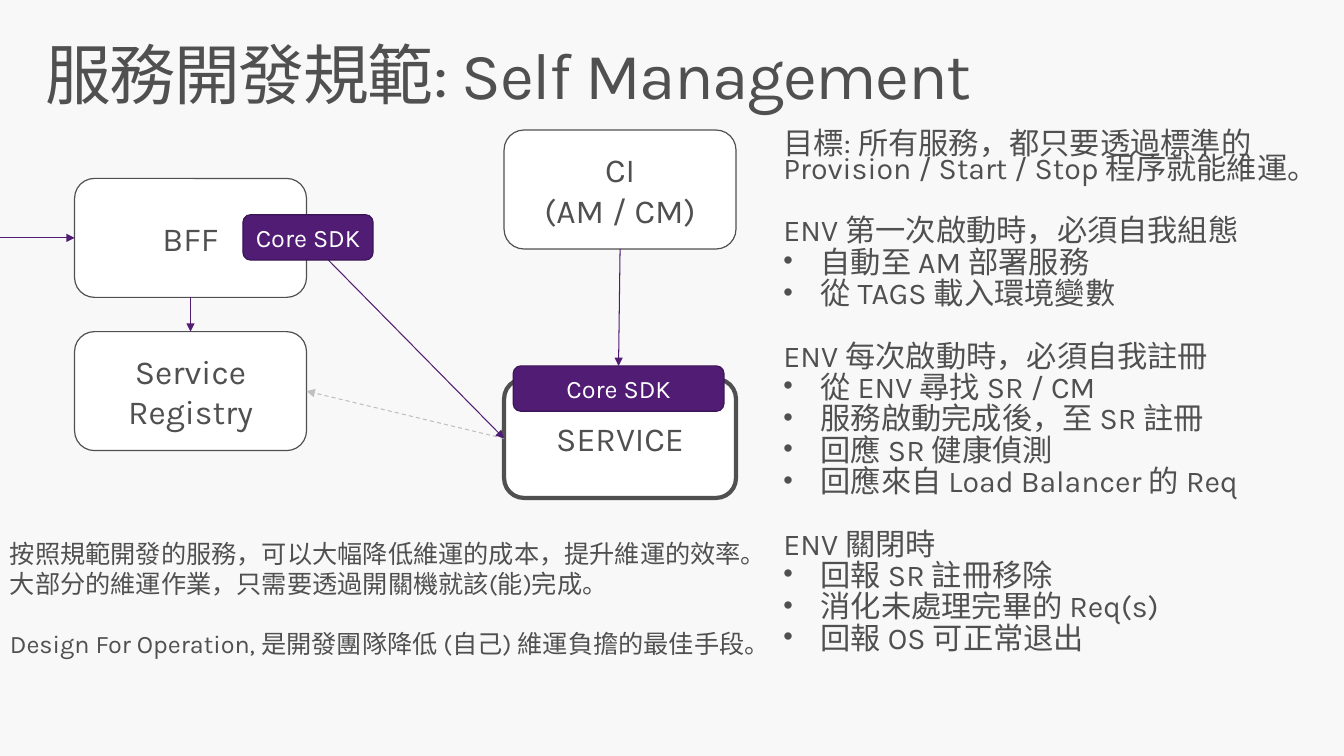
from typing import NamedTuple

from lxml import etree
from pptx import Presentation
from pptx import util as u
from pptx.dml.color import RGBColor
from pptx.enum import dml, shapes, text
from pptx.oxml import ns

FONT = "Karla"
GREY, WHITE, PURPLE = "505050", "FFFFFF", "511C74"
DARK_PURPLE, PALE_GREY, BACKGROUND = "3C1556", "BFBFBF", "F8F8F8"
TOP, LEFT, BOTTOM, RIGHT = range(4)


class Box(NamedTuple):
    name: str
    lines: list[str]
    left: float
    top: float
    width: float = 2.3
    height: float = 1.18
    fill: str = WHITE
    line: str = GREY
    line_width: float = 0.85
    size: float = 24


class Link(NamedTuple):
    start: str
    start_side: int
    end: str
    end_side: int
    color: str = PURPLE
    dashed: bool = False


class Section(NamedTuple):
    heading: str
    items: list[str]


TITLE = "服務開發規範: Self Management"
SECTIONS = [
    Section("目標: 所有服務，都只要透過標準的 Provision / Start / Stop 程序就能維運。", []),
    Section("ENV 第一次啟動時，必須自我組態", ["自動至 AM 部署服務", "從 TAGS 載入環境變數"]),
    Section("ENV 每次啟動時，必須自我註冊",
            ["從 ENV 尋找 SR / CM", "服務啟動完成後，至 SR 註冊",
             "回應 SR 健康偵測", "回應來自 Load Balancer 的 Req"]),
    Section("ENV 關閉時", ["回報 SR 註冊移除", "消化未處理完畢的 Req(s)", "回報 OS 可正常退出"]),
]
NOTES = [
    ("按照規範開發的服務，可以大幅降低維運的成本，提升維運的效率。", 0),
    ("大部分的維運作業，只需要透過開關機就該(能)完成。", 0),
    ("Design For Operation, 是開發團隊降低 (自己) 維運負擔的最佳手段。", 21),
]
SYSTEMS = [
    Box("service", ["SERVICE"], 5, 3.76, line_width=3),
    Box("bff", ["BFF"], 0.74, 1.77),
    Box("registry", ["Service", "Registry"], 0.74, 3.29),
    Box("ci", ["CI", "(AM / CM)"], 5, 1.29),
]
SDKS = [
    Box("service sdk", ["Core SDK"], 5.09, 3.63, 2.09, 0.45, PURPLE, DARK_PURPLE, size=18),
    Box("bff sdk", ["Core SDK"], 2.41, 2.13, 1.29, 0.45, PURPLE, DARK_PURPLE, size=18),
]
SYSTEM_LINKS = [
    Link("service", LEFT, "registry", RIGHT, PALE_GREY, True),
    Link("bff", BOTTOM, "registry", TOP),
    Link("bff", RIGHT, "service", LEFT),
]
SDK_LINK = Link("ci", BOTTOM, "service sdk", TOP)


def rgb(color: str) -> RGBColor:
    return RGBColor.from_string(color)


def add_run(paragraph, content: str, size: float, color: str = GREY):
    run = paragraph.add_run()
    run.text = content
    run.font.name = FONT
    run.font.size = u.Pt(size)
    run.font.color.rgb = rgb(color)
    return run


def next_paragraph(frame, index: int):
    return frame.paragraphs[0] if index == 0 else frame.add_paragraph()


def place(shape, left: float, top: float, width: float, height: float) -> None:
    shape.left, shape.top = u.Inches(left), u.Inches(top)
    shape.width, shape.height = u.Inches(width), u.Inches(height)


def prepare_placeholder(shape):
    frame = shape.text_frame
    frame.word_wrap = True
    frame.auto_size = text.MSO_AUTO_SIZE.NONE
    frame.vertical_anchor = text.MSO_ANCHOR.TOP
    frame.margin_left = frame.margin_right = u.Inches(0.16)
    frame.margin_top = frame.margin_bottom = u.Inches(0.1)
    return frame


def set_bullet(paragraph, bulleted: bool) -> None:
    properties = paragraph._p.get_or_add_pPr()
    indent = u.Inches(0.37) if bulleted else 0
    properties.set("marL", str(indent))
    properties.set("indent", str(-indent))
    if bulleted:
        etree.SubElement(properties, ns.qn("a:buSzPct")).set("val", "90000")
        etree.SubElement(properties, ns.qn("a:buFont")).set("typeface", "Arial")
        etree.SubElement(properties, ns.qn("a:buChar")).set("char", "•")
    else:
        etree.SubElement(properties, ns.qn("a:buNone"))


def add_box(slide, box: Box):
    shape = slide.shapes.add_shape(
        shapes.MSO_SHAPE.ROUNDED_RECTANGLE, u.Inches(box.left), u.Inches(box.top),
        u.Inches(box.width), u.Inches(box.height))
    shape.shadow.inherit = False
    shape.fill.solid()
    shape.fill.fore_color.rgb = rgb(box.fill)
    shape.line.color.rgb = rgb(box.line)
    shape.line.width = u.Pt(box.line_width)
    frame = shape.text_frame
    frame.vertical_anchor = text.MSO_ANCHOR.MIDDLE
    color = WHITE if box.fill == PURPLE else GREY
    for index, line in enumerate(box.lines):
        paragraph = next_paragraph(frame, index)
        paragraph.alignment = text.PP_ALIGN.CENTER
        add_run(paragraph, line, box.size, color)
    return shape


def add_arrow(slide, color: str = PURPLE, dashed: bool = False, start_y: float = 0):
    y = u.Inches(start_y)
    arrow = slide.shapes.add_connector(shapes.MSO_CONNECTOR.STRAIGHT, 0, y, 0, y)
    arrow.line.color.rgb = rgb(color)
    arrow.line.width = u.Pt(0.75)
    if dashed:
        arrow.line.dash_style = dml.MSO_LINE.DASH
    properties = arrow._element.spPr
    outline = properties.find(ns.qn("a:ln"))
    etree.SubElement(outline, ns.qn("a:tailEnd")).set("type", "triangle")
    etree.SubElement(properties, ns.qn("a:effectLst"))
    return arrow


def add_link(slide, link: Link, drawn: dict) -> None:
    arrow = add_arrow(slide, link.color, link.dashed)
    arrow.begin_connect(drawn[link.start], link.start_side)
    arrow.end_connect(drawn[link.end], link.end_side)


def fill_title(shape) -> None:
    place(shape, 0.29, 0.32, 12.75, 0.98)
    paragraph = prepare_placeholder(shape).paragraphs[0]
    paragraph.alignment = text.PP_ALIGN.LEFT
    paragraph.line_spacing = 0.9
    run = add_run(paragraph, TITLE, 47)
    run._r.get_or_add_rPr().set("spc", "-100")


def fill_body(shape) -> None:
    place(shape, 7.61, 1.23, 5.72, 6.06)
    frame = prepare_placeholder(shape)
    rows = [(line, index > 0) for section in SECTIONS
            for index, line in enumerate([section.heading, *section.items])]
    for index, (line, bulleted) in enumerate(rows):
        paragraph = next_paragraph(frame, index)
        set_bullet(paragraph, bulleted)
        paragraph.line_spacing = 0.7
        gap = 4.3 if bulleted else 26.3
        paragraph.space_before = u.Pt(gap if index else 0)
        add_run(paragraph, line, 21.6)


def add_notes(slide) -> None:
    box = slide.shapes.add_textbox(
        u.Inches(0), u.Inches(5.29), u.Inches(7.78), u.Inches(1.31))
    box.text_frame.word_wrap = True
    for index, (line, gap) in enumerate(NOTES):
        paragraph = next_paragraph(box.text_frame, index)
        paragraph.space_before = u.Pt(gap)
        add_run(paragraph, line, 18)


def main() -> None:
    presentation = Presentation()
    presentation.slide_width, presentation.slide_height = u.Inches(13.33), u.Inches(7.5)
    slide = presentation.slides.add_slide(presentation.slide_layouts[1])
    slide.background.fill.solid()
    slide.background.fill.fore_color.rgb = rgb(BACKGROUND)

    # Title and list
    fill_title(slide.shapes.title)
    fill_body(slide.placeholders[1])

    # Diagram: systems, their links, then the SDK labels on top
    drawn = {box.name: add_box(slide, box) for box in SYSTEMS}
    for link in SYSTEM_LINKS:
        add_link(slide, link, drawn)
    add_arrow(slide, start_y=2.36).end_connect(drawn["bff"], LEFT)
    drawn.update({box.name: add_box(slide, box) for box in SDKS})
    add_link(slide, SDK_LINK, drawn)

    # Closing remarks
    add_notes(slide)
    presentation.save("out.pptx")


if __name__ == "__main__":
    main()
